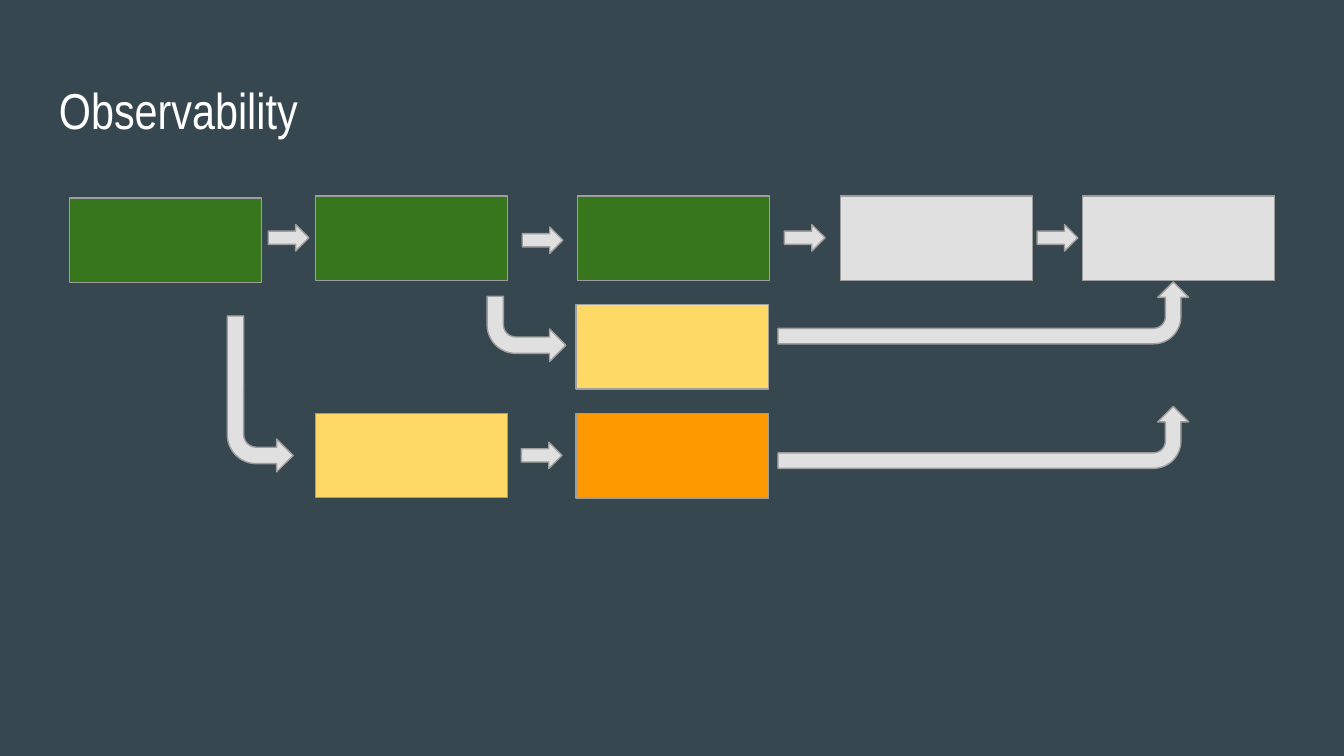
import pptx
import pptx.dml.color
import pptx.enum.shapes
import pptx.enum.text
import pptx.util

Pt = pptx.util.Pt
RGBColor = pptx.dml.color.RGBColor
KIND = pptx.enum.shapes.MSO_SHAPE

SLATE = RGBColor(0x37, 0x47, 0x4F)
WHITE = RGBColor(0xFF, 0xFF, 0xFF)
GREEN = RGBColor(0x38, 0x76, 0x1D)
YELLOW = RGBColor(0xFF, 0xD9, 0x66)
ORANGE = RGBColor(0xFF, 0x99, 0x00)
SILVER = RGBColor(0xE0, 0xE0, 0xE0)
GREY = RGBColor(0x9E, 0x9E, 0x9E)

deck = pptx.Presentation()
deck.slide_width, deck.slide_height = Pt(720), Pt(405)
slide = deck.slides.add_slide(deck.slide_layouts[6])
slide.background.fill.solid()
slide.background.fill.fore_color.rgb = SLATE


def add_text(text, left, top, width, height, size=27, font="Arial Narrow", color=WHITE):
    box = slide.shapes.add_textbox(Pt(left), Pt(top), Pt(width), Pt(height))
    frame = box.text_frame
    frame.word_wrap = True
    frame.margin_left = frame.margin_right = Pt(7.2)
    frame.margin_top = frame.margin_bottom = Pt(7.2)
    frame.vertical_anchor = pptx.enum.text.MSO_ANCHOR.TOP
    run = frame.paragraphs[0].add_run()
    run.text = text
    run.font.size = Pt(size)
    run.font.name = font
    run.font.color.rgb = color


def add_block(kind, left, top, width, height, fill=SILVER):
    block = slide.shapes.add_shape(kind, Pt(left), Pt(top), Pt(width), Pt(height))
    block.shadow.inherit = False
    block.fill.solid()
    block.fill.fore_color.rgb = fill
    block.line.color.rgb = GREY
    block.line.width = Pt(0.75)
    return block


add_text("Observability", 24.5, 35.4, 671, 45.1)

# Stages: left, top, fill
stages = [
    (37.2, 106.1, GREEN),
    (169, 105, GREEN),
    (309.4, 105, GREEN),
    (450.2, 105, SILVER),
    (579.8, 105, SILVER),
    (308.7, 163.2, YELLOW),
    (169, 221.4, YELLOW),
    (308.7, 221.6, ORANGE),
]
for left, top, fill in stages:
    add_block(KIND.RECTANGLE, left, top, 103, 45.2, fill)

# Straight arrows between stages
for left, top in [(143.7, 120.3), (279.8, 121.6), (420.2, 120.3), (555.6, 120.3), (279.3, 236.9)]:
    add_block(KIND.RIGHT_ARROW, left, top, 21.8, 14.2)

# Bent arrows: left, top, width, height before the turn, and the turn
bends = [
    (121.7, 169.3, 35.3, 83.5, 180),
    (260.9, 158.7, 42.2, 35, 180),
    (510.2, 57.6, 33.2, 220, 90),
    (510.2, 124.3, 33.2, 220, 90),
]
for left, top, width, height, turn in bends:
    arrow = add_block(KIND.BENT_ARROW, left, top, width, height)
    arrow.rotation = turn
    arrow.element.spPr.xfrm.set("flipH", "1")
    for i, ratio in enumerate([0.25, 0.25, 0.25, 0.44]):
        arrow.adjustments[i] = ratio

deck.save("out.pptx")
